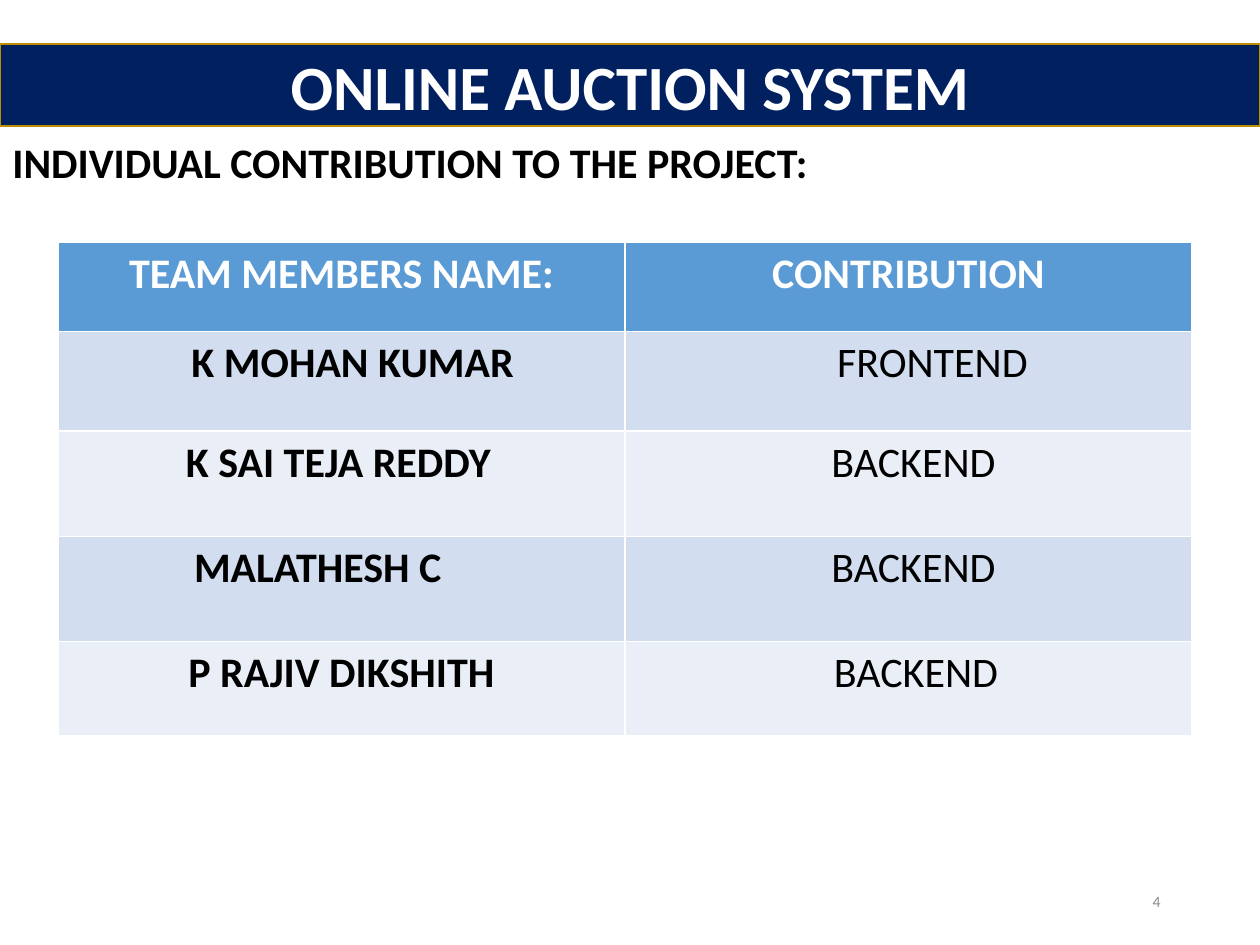
from dataclasses import dataclass

from pptx import Presentation
from pptx.dml.color import RGBColor
from pptx.enum import text as t
from pptx.util import Inches, Pt

LEFT, MID, RIGHT = t.PP_ALIGN.LEFT, t.PP_ALIGN.CENTER, t.PP_ALIGN.RIGHT
HEAD, BANDS = "5B9BD5", ("EAEFF7", "D2DEEF")


@dataclass
class Entry:
    text: str
    inset: float = 0.1
    align: t.PP_ALIGN = MID


@dataclass
class Row:
    height: float
    member: Entry
    duty: Entry


ROWS = [
    Row(0.71, Entry("TEAM MEMBERS NAME:"), Entry("CONTRIBUTION")),
    Row(0.79, Entry("K MOHAN KUMAR", 1.06, LEFT), Entry("FRONTEND", 0.48)),
    Row(0.84, Entry("K SAI TEJA REDDY", 0.05), Entry("BACKEND", 0.18)),
    Row(0.83, Entry("MALATHESH C", 1.08, LEFT), Entry("BACKEND", 0.18)),
    Row(0.75, Entry("P RAJIV DIKSHITH"), Entry("BACKEND", 0.22)),
]


def rgb(code: str) -> RGBColor:
    return RGBColor.from_string(code)


def paint(obj, code: str) -> None:
    obj.fill.solid()
    obj.fill.fore_color.rgb = rgb(code)


def write(frame, words: str, size: float, color: str, bold=False, align=LEFT):
    para = frame.paragraphs[0]
    para.alignment = align
    run = para.add_run()
    run.text = words
    font = run.font
    font.name, font.size, font.bold = "Calibri", Pt(size), bold
    font.color.rgb = rgb(color)
    return para


def add_box(slide, left: float, top: float, width: float, height: float):
    box = slide.shapes.add_textbox(*map(Inches, (left, top, width, height)))
    box.text_frame.word_wrap = True
    return box.text_frame


def add_title(slide) -> None:
    bar = slide.shapes.title
    bar.left, bar.top, bar.width, bar.height = map(Inches, (0, 0.35, 10, 0.65))
    paint(bar, "002060")
    bar.line.color.rgb = rgb("BD8E00")
    bar.line.width = Pt(1)
    frame = bar.text_frame
    frame.auto_size = t.MSO_AUTO_SIZE.NONE
    frame.vertical_anchor = t.MSO_ANCHOR.MIDDLE
    write(frame, "ONLINE AUCTION SYSTEM", 36, "FFFFFF", True, MID)


def add_grid(slide, rows: list[Row]) -> None:
    total = sum(row.height for row in rows)
    area = map(Inches, (0.46, 1.92, 9, total))
    grid = slide.shapes.add_table(len(rows), 2, *area).table
    for i, row in enumerate(rows):
        grid.rows[i].height = Inches(row.height)
        for j, entry in enumerate((row.member, row.duty)):
            cell = grid.cell(i, j)
            cell.margin_left = Inches(entry.inset)
            paint(cell, BANDS[i % 2] if i else HEAD)
            write(cell.text_frame, entry.text, 24, "000000" if i else "FFFFFF",
                  i == 0 or j == 0, entry.align)


def main() -> None:
    deck = Presentation()
    deck.slide_width, deck.slide_height = Inches(10), Inches(7.5)
    slide = deck.slides.add_slide(deck.slide_layouts[5])
    add_title(slide)

    lead = write(add_box(slide, 0, 1.08, 9.92, 0.6),
                 "INDIVIDUAL CONTRIBUTION TO THE PROJECT:", 24, "000000", True)
    lead.line_spacing = 0.9
    lead.space_before = Pt(7.5)

    add_grid(slide, ROWS)

    page = add_box(slide, 7.06, 6.95, 2.25, 0.4)
    page.vertical_anchor = t.MSO_ANCHOR.MIDDLE
    write(page, "4", 9, "8C8C8C", align=RIGHT)
    deck.save("out.pptx")


if __name__ == "__main__":
    main()
